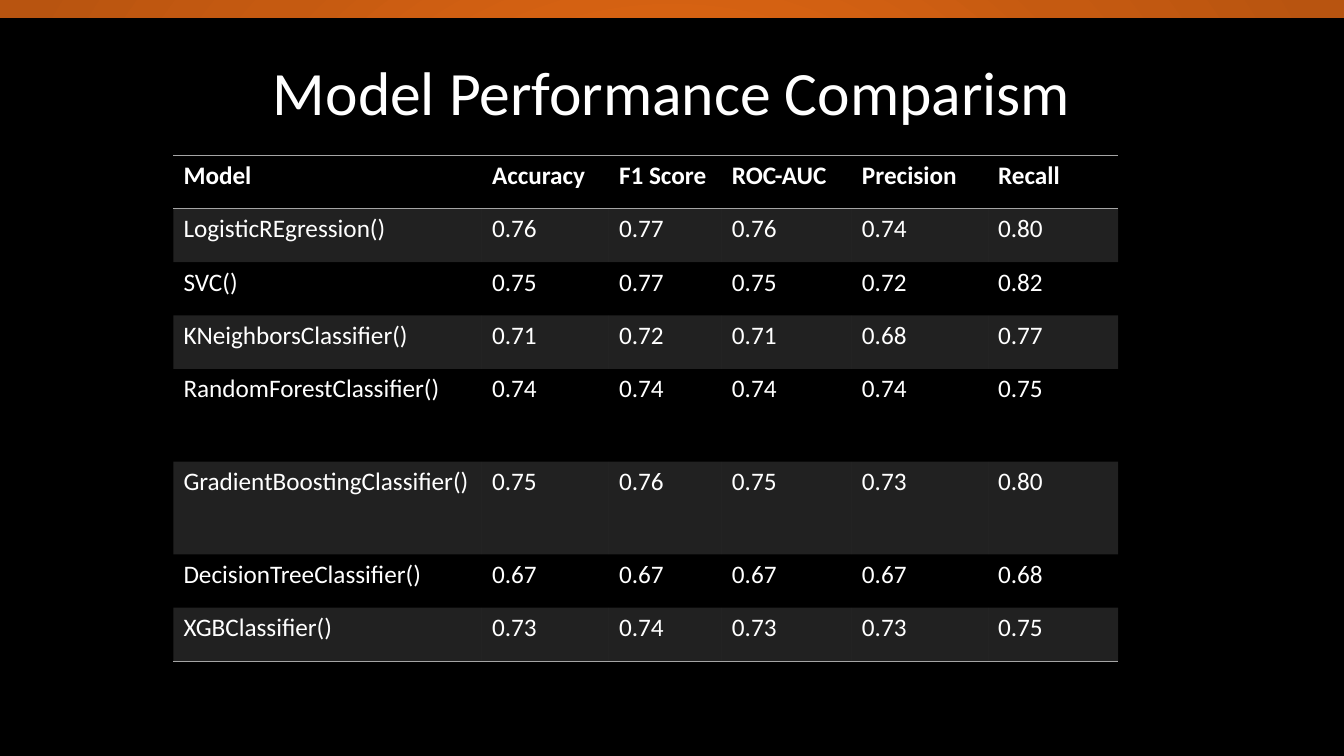
from lxml.etree import SubElement as Sub
from pptx import Presentation
from pptx.dml.color import RGBColor as RGB
from pptx.enum.shapes import MSO_SHAPE as Shape
from pptx.enum.text import MSO_ANCHOR as Anchor, PP_ALIGN as Align
from pptx.oxml import parse_xml
from pptx.oxml.ns import nsdecls, qn
from pptx.util import Inches, Pt

HUES = {"black": "000000", "white": "FFFFFF", "gray": "A5A5A5",
        "bright": "EA6B14", "mid": "C55A11", "dark": "B85410"}
NO_GRID = "{2D5ABB26-0587-4C30-8999-92F81FD0307C}"


def write(frame, words, size=18, bold=False, align=Align.LEFT, space=1.0):
    frame.word_wrap = True
    para = frame.paragraphs[0]
    para.alignment, para.line_spacing = align, space
    run = para.add_run()
    run.text = words
    font = run.font
    font.name, font.size, font.bold = "Calibri", Pt(size), bold
    font.color.rgb = RGB.from_string(HUES["white"])


def rule(cell, side):
    line = parse_xml(
        f'<a:{side} {nsdecls("a")} w="{Pt(1)}"><a:solidFill>'
        f'<a:srgbClr val="{HUES["gray"]}"/></a:solidFill></a:{side}>')
    props = cell._tc.get_or_add_tcPr()
    # Border lines come before the fill, top before bottom
    props.insert(len(props.findall(qn("a:lnT"))), line)


deck = Presentation()
deck.slide_width, deck.slide_height = Inches(13.33), Inches(7.5)
slide = deck.slides.add_slide(deck.slide_layouts[6])

# Orange radial background
slide.background.fill.gradient()
grad = slide.element.find(".//" + qn("a:gradFill"))
for part in list(grad):
    grad.remove(part)
stops = Sub(grad, qn("a:gsLst"))
for pos, hue in [(0, "bright"), (23, "bright"), (69, "mid"), (97, "dark")]:
    stop = Sub(stops, qn("a:gs"), pos=str(pos * 1000))
    Sub(stop, qn("a:srgbClr"), val=HUES[hue])
round_ = Sub(grad, qn("a:path"), path="circle")
Sub(round_, qn("a:fillToRect"), l="50000", t="50000", r="50000", b="50000")

# Black panel
panel = slide.shapes.add_shape(
    Shape.RECTANGLE, 0, Inches(0.19), Inches(13.33), Inches(7.31))
panel.shadow.inherit = False
panel.fill.solid()
panel.fill.fore_color.rgb = RGB.from_string(HUES["black"])
panel.line.color.rgb = RGB.from_string(HUES["black"])
panel.line.width = Pt(1)

# Title
title = slide.shapes.add_textbox(
    Inches(2.14), Inches(0.52), Inches(9.05), Inches(0.86)).text_frame
title.vertical_anchor = Anchor.MIDDLE
write(title, "Model Performance Comparism", size=44, align=Align.CENTER,
      space=0.9)

# Score table
SCORES = [
    ("Model", "Accuracy", "F1 Score", "ROC-AUC", "Precision", "Recall"),
    ("LogisticREgression()", "0.76", "0.77", "0.76", "0.74", "0.80"),
    ("SVC()", "0.75", "0.77", "0.75", "0.72", "0.82"),
    ("KNeighborsClassifier()", "0.71", "0.72", "0.71", "0.68", "0.77"),
    ("RandomForestClassifier()", "0.74", "0.74", "0.74", "0.74", "0.75"),
    ("GradientBoostingClassifier()", "0.75", "0.76", "0.75", "0.73", "0.80"),
    ("DecisionTreeClassifier()", "0.67", "0.67", "0.67", "0.67", "0.68"),
    ("XGBClassifier()", "0.73", "0.74", "0.73", "0.73", "0.75"),
]
WIDTHS = [3.06, 1.26, 1.12, 1.29, 1.35, 1.29]
TALL = (4, 5)
last = len(SCORES) - 1

holder = slide.shapes.add_table(
    len(SCORES), len(WIDTHS), Inches(1.72), Inches(1.54), Inches(9.38),
    Inches(5.04))
table = holder.table
table.first_row = table.horz_banding = False
table._tbl.tblPr.find(qn("a:tableStyleId")).text = NO_GRID
for col, width in zip(table.columns, WIDTHS):
    col.width = Inches(width)

for r, row in enumerate(SCORES):
    table.rows[r].height = Inches(0.92 if r in TALL else 0.53)
    for c, words in enumerate(row):
        cell = table.cell(r, c)
        write(cell.text_frame, words, bold=r == 0)
        # Odd rows are shaded with see-through gray
        if r % 2:
            cell.fill.solid()
            cell.fill.fore_color.rgb = RGB.from_string(HUES["gray"])
            tint = cell._tc.tcPr.find(".//" + qn("a:srgbClr"))
            Sub(tint, qn("a:alpha"), val="20000")
        else:
            cell.fill.background()
        if r == 0:
            rule(cell, "lnT")
        if r in (0, last):
            rule(cell, "lnB")

deck.save("out.pptx")
